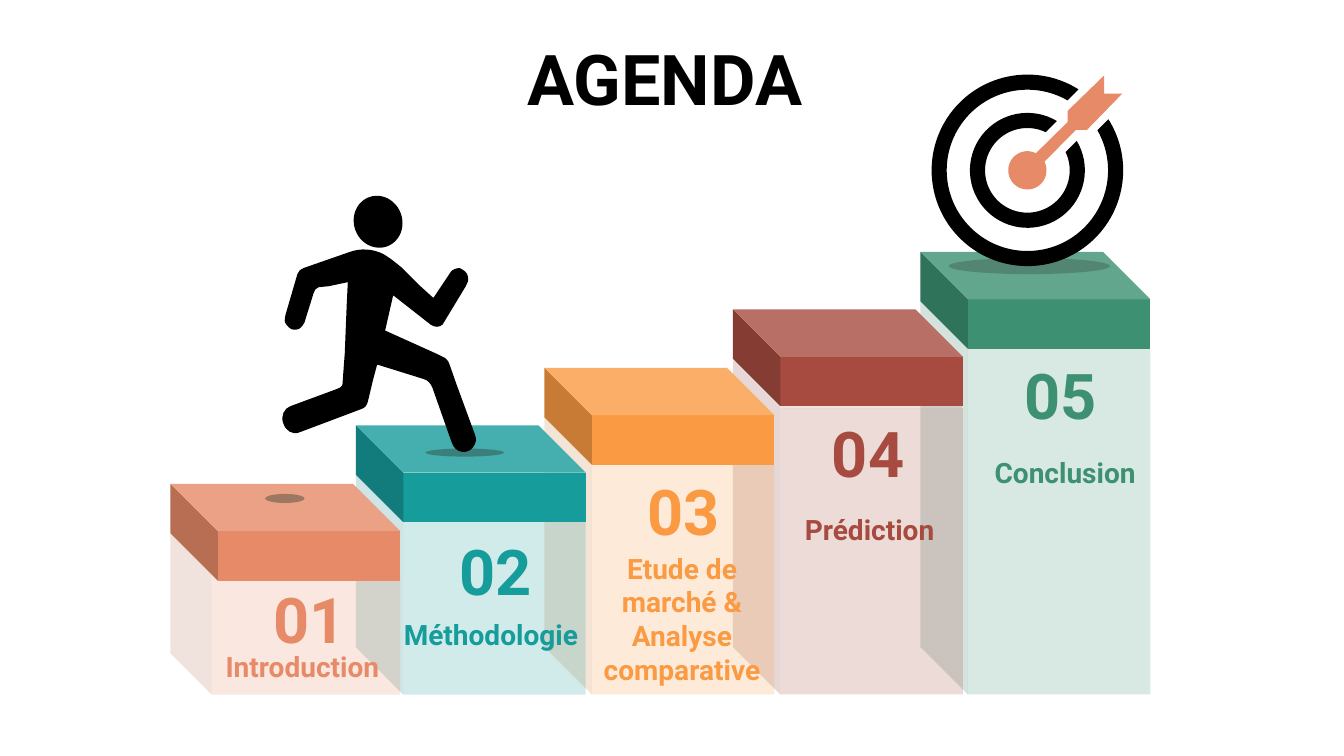
from math import asin, cos, pi, sin, tan

from lxml.etree import SubElement
from pptx import Presentation
from pptx.dml.color import RGBColor
from pptx.enum.shapes import MSO_SHAPE as Shape
from pptx.enum.text import MSO_ANCHOR as Anchor, MSO_AUTO_SIZE as AutoSize, PP_ALIGN as Align
from pptx.oxml.ns import qn
from pptx.util import Pt

PX = 9144
THEME = {
    "font": "Roboto",
    "ink": "000000",
    "shadow": "2C3932",
    "accent": "E78A67",
    "steps": ["E78A67", "169C9A", "FA9A42", "A74B40", "3D9072"],
    "title_size": 50,
    "number_size": 45,
    "label_size": 20,
}


def paint(shape, color, opacity=100):
    shape.shadow.inherit = False
    shape.line.fill.background()
    shape.fill.solid()
    shape.fill.fore_color.rgb = RGBColor.from_string(color)
    if opacity < 100:
        tone = shape.fill._xPr.find(".//" + qn("a:srgbClr"))
        SubElement(tone, qn("a:alpha"), val=str(opacity * 1000))


def write(box, lines, size, color):
    frame = box.text_frame
    frame.word_wrap = True
    frame.auto_size = AutoSize.SHAPE_TO_FIT_TEXT
    for index, line in enumerate(lines):
        para = frame.add_paragraph() if index else frame.paragraphs[0]
        para.alignment = Align.CENTER
        span = para.add_run()
        span.text = line
        span.font.name = THEME["font"]
        span.font.size = Pt(size)
        span.font.bold = True
        span.font.color.rgb = RGBColor.from_string(color)


deck = Presentation()
deck.slide_width, deck.slide_height = 1333 * PX, 750 * PX
page = deck.slides.add_slide(deck.slide_layouts[5])
shapes = page.shapes

title = shapes.title
title.left, title.top, title.width, title.height = 302 * PX, 30 * PX, 715 * PX, 94 * PX
title.text_frame.vertical_anchor = Anchor.MIDDLE
write(title, ["AGENDA"], THEME["title_size"], THEME["ink"])

step_lefts = [169, 353, 540, 727, 913]
pillar_tops = [530, 470, 412, 358, 299]
pillar_depths = [41, 47, 47, 47, 47]
floor = 689

pillars = [
    (left, top, floor - top, depth, color, 20)
    for left, top, depth, color in zip(step_lefts, pillar_tops, pillar_depths, THEME["steps"])
]
caps = [
    (left, (960 - index * 115) // 2, 96, 47, color, 100)
    for index, (left, color) in enumerate(zip(step_lefts, THEME["steps"]))
]
for left, top, height, depth, color, opacity in pillars[::-1] + caps:
    block = shapes.add_shape(Shape.CUBE, left * PX, top * PX, 228 * PX, height * PX)
    block.adjustments[0] = depth / min(228, height)
    block._element.spPr.xfrm.set("flipH", "1")
    paint(block, color, opacity)

ovals = [
    (941, 256, 160, 16, 0, THEME["shadow"], 30),
    (422, 445, 78, 8, 0, THEME["shadow"], 40),
    (263, 490, 39, 9, 0, THEME["shadow"], 40),
    (351, 194, 48, 52, 340.1, THEME["ink"], 100),
]
for left, top, width, height, turn, color, opacity in ovals:
    oval = shapes.add_shape(Shape.OVAL, left * PX, top * PX, width * PX, height * PX)
    oval.rotation = turn
    paint(oval, color, opacity)

target_x, target_y = 1019, 169
arcs = []
for radius, half_gap, way in [(95, 21, 1), (80, 21, -1), (57, 14, 1), (42, 14, -1), (19, 6, 1)]:
    opening = asin(half_gap / radius)
    turn = way * (pi - opening) / 2
    reach = radius * 4 / 3 * tan(turn / 4)
    angle = -pi / 4 + way * opening
    arc = [(target_x + radius * cos(angle), target_y + radius * sin(angle))]
    for quarter in range(4):
        start_x, start_y = arc[-1][-2:]
        pull_x, pull_y = start_x - reach * sin(angle), start_y + reach * cos(angle)
        angle += turn
        end_x, end_y = target_x + radius * cos(angle), target_y + radius * sin(angle)
        push_x, push_y = end_x + reach * sin(angle), end_y - reach * cos(angle)
        arc.append((pull_x, pull_y, push_x, push_y, end_x, end_y))
    arcs.append(arc)
arrow = [(1059, 121), (1059, 110), (1095, 75), (1095, 93), (1113, 93), (1078, 129), (1067, 129)]

runner = [
    (345, 280), (326, 284), (316, 285), (313, 286, 312, 288, 311, 291),
    (302, 320), (300, 324, 297, 327, 294, 327), (290, 328, 287, 326, 284, 322),
    (282, 320, 282, 316, 283, 313), (295, 272), (296, 269, 298, 267, 301, 266),
    (347, 250), (358, 246, 370, 247, 380, 252), (387, 256, 393, 261, 399, 266),
    (417, 284), (428, 294), (429, 296, 431, 296, 431, 294),
    (447, 270), (449, 267, 453, 266, 456, 266), (460, 268, 463, 270, 464, 274),
    (465, 278, 464, 281, 462, 284), (439, 322), (436, 325, 431, 325, 427, 322),
    (390, 293), (382, 328), (433, 351), (439, 354), (442, 355, 445, 358, 446, 362),
    (453, 382), (471, 431), (473, 436, 472, 440, 469, 444),
    (464, 450, 455, 450, 450, 443), (448, 439), (429, 385),
    (427, 380, 424, 377, 420, 376), (375, 362), (374, 362), (370, 377), (365, 398),
    (364, 402, 362, 405, 358, 406), (297, 429), (290, 432, 283, 427, 281, 420),
    (278, 413, 282, 405, 288, 403), (334, 386), (340, 384, 340, 382, 340, 377),
    (342, 350), (343, 324), (344, 300),
]

outlines = [
    (arcs[0] + arcs[1], THEME["ink"]),
    (arcs[2] + arcs[3], THEME["ink"]),
    (arcs[4] + arrow, THEME["accent"]),
    (runner, THEME["ink"]),
]
for segments, color in outlines:
    corners = [
        (segment[i] * PX, segment[i + 1] * PX)
        for segment in segments
        for i in range(0, len(segment), 2)
    ]
    builder = shapes.build_freeform(*corners[0])
    builder.add_line_segments(corners[1:], close=True)
    figure = builder.convert_to_shape()
    lines = iter(figure._element.findall(".//" + qn("a:lnTo")))
    for segment in segments[1:]:
        line = next(lines)
        if len(segment) == 6:
            line.tag = qn("a:cubicBezTo")
            for extra in (next(lines), next(lines)):
                line.append(extra[0])
                extra.getparent().remove(extra)
    paint(figure, color)

steps = [
    ("01", 242, 571, ["Introduction"], 198, 639, 204, 44),
    ("02", 427, 523, ["Méthodologie"], 373, 608, 228, 44),
    ("03", 613, 464, ["Etude de marché &", "Analyse comparative"], 570, 542, 213, 145),
    ("04", 796, 406, ["Prédiction"], 767, 504, 191, 44),
    ("05", 987, 349, ["Conclusion"], 963, 447, 187, 44),
]
for step, color in zip(steps, THEME["steps"]):
    number, number_left, number_top, label, left, top, width, height = step
    number_box = shapes.add_textbox(number_left * PX, number_top * PX, 130 * PX, 86 * PX)
    write(number_box, [number], THEME["number_size"], color)
    label_box = shapes.add_textbox(left * PX, top * PX, width * PX, height * PX)
    write(label_box, label, THEME["label_size"], color)

deck.save("out.pptx")
